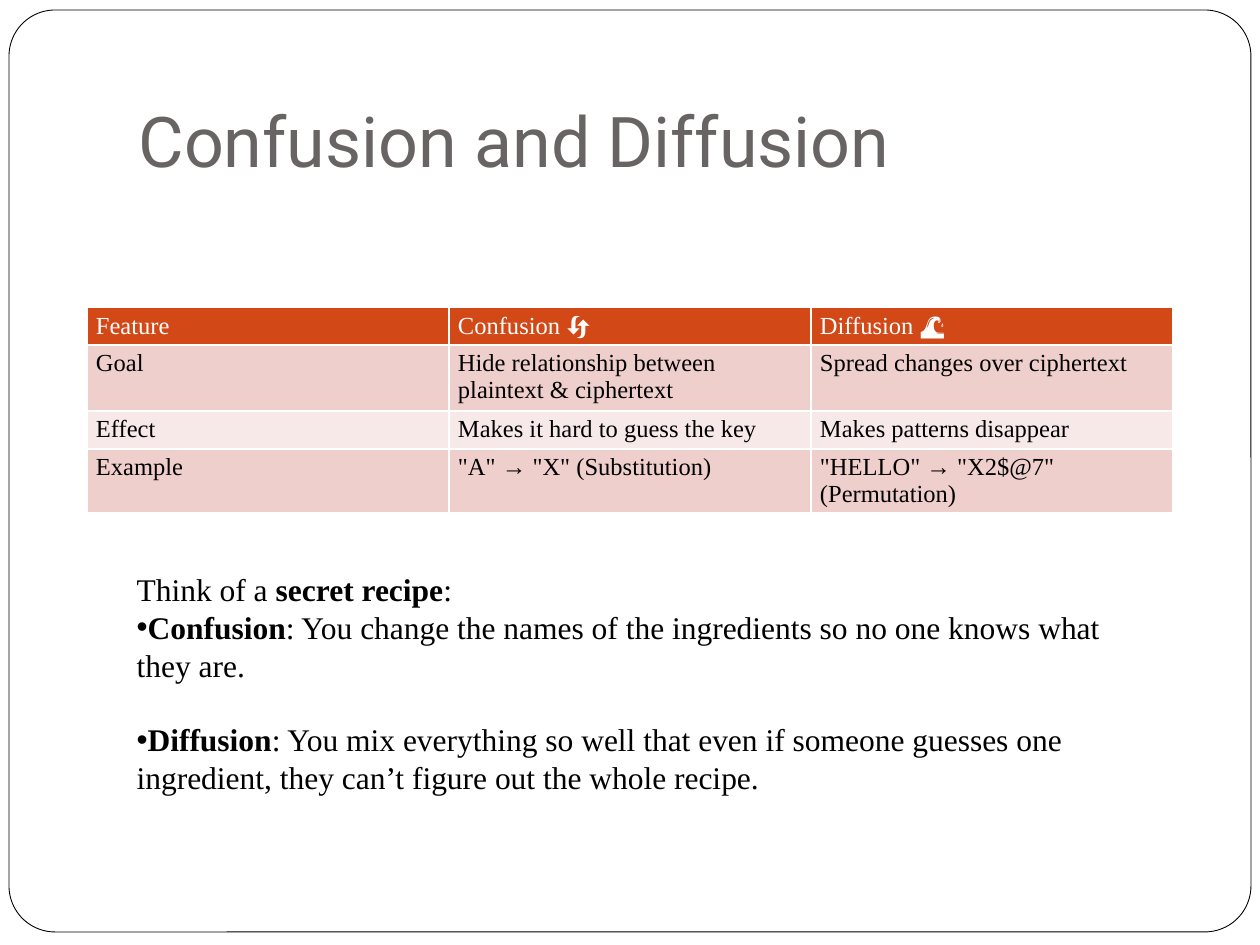
import pptx
import pptx.util
import pptx.dml.color
import pptx.enum.shapes
import pptx.enum.text
from lxml import etree

PX = 914400 // 126
SIZE = 1260, 945
SERIF, SANS = "Times New Roman", "Roboto"
HUES = {"ink": "000000", "paper": "FFFFFF", "title": "696464",
        "head": "D34817", "odd": "EFCFCC", "even": "F7E9E8"}

TITLE = "Confusion and Diffusion"
ROWS = [
    ("Feature", "Confusion 🔄", "Diffusion 🌊"),
    ("Goal", "Hide relationship between plaintext & ciphertext",
     "Spread changes over ciphertext"),
    ("Effect", "Makes it hard to guess the key", "Makes patterns disappear"),
    ("Example", '"A" → "X" (Substitution)', '"HELLO" → "X2$@7" (Permutation)'),
]
HEIGHTS = 38, 66, 38, 64
WIDTH = 362
# Each paragraph: bullet, space before in points, runs of (text, bold)
NOTES = [
    (None, 0, [("Think of a ", False), ("secret recipe", True), (":", False)]),
    ("•", 0, [("Confusion", True),
              (": You change the names of the ingredients so no one knows "
               "what they are.", False)]),
    ("•", 21, [("Diffusion", True),
               (": You mix everything so well that even if someone guesses "
                "one ingredient, they can’t figure out the whole recipe.",
                False)]),
]


def hue(name):
    return pptx.dml.color.RGBColor.from_string(HUES[name])


def put(shape, left, top, width, height):
    shape.left, shape.top = left * PX, top * PX
    shape.width, shape.height = width * PX, height * PX


def add_run(para, text, size, color, face=SERIF, bold=False):
    run = para.add_run()
    run.text = text
    font = run.font
    font.size, font.name, font.bold = pptx.util.Pt(size), face, bold
    font.color.rgb = hue(color)


def add_tag(parent, name, **attrs):
    return etree.SubElement(parent, pptx.oxml.ns.qn(name), attrs)


def add_frame(slide):
    """Draw the rounded page border behind everything else."""
    frame = slide.shapes.add_shape(
        pptx.enum.shapes.MSO_SHAPE.ROUNDED_RECTANGLE,
        9 * PX, 10 * PX, 1242 * PX, 922 * PX)
    frame.adjustments[0] = 0.05
    frame.shadow.inherit = False
    frame.fill.solid()
    frame.fill.fore_color.rgb = hue("paper")
    frame.line.color.rgb = hue("ink")
    frame.line.width = pptx.util.Pt(0.5)
    frame.element.getparent().insert(2, frame.element)


def add_title(slide):
    title = slide.shapes.title
    put(title, 126, 38, 1071, 157)
    box = title.text_frame
    box.vertical_anchor = pptx.enum.text.MSO_ANCHOR.BOTTOM
    box.margin_bottom = 13 * PX
    para = box.paragraphs[0]
    para.alignment = pptx.enum.text.PP_ALIGN.LEFT
    add_run(para, TITLE, 40, "title", SANS)


def add_cell(cell, text, row, middle):
    cell.margin_left = cell.margin_right = 9 * PX
    cell.margin_top = cell.margin_bottom = 5 * PX
    anchor = pptx.enum.text.MSO_ANCHOR
    cell.vertical_anchor = anchor.MIDDLE if middle else anchor.TOP
    props = cell._tc.get_or_add_tcPr()
    for side in "LRTB":
        line = add_tag(props, "a:ln" + side, w=str(pptx.util.Pt(1)))
        fill = add_tag(line, "a:solidFill")
        add_tag(fill, "a:srgbClr", val=HUES["paper"])
    cell.fill.solid()
    cell.fill.fore_color.rgb = hue(
        "head" if row == 0 else "odd" if row % 2 else "even")
    add_run(cell.text_frame.paragraphs[0], text, 14,
            "ink" if row else "paper")


def add_grid(slide):
    cols = len(ROWS[0])
    grid = slide.shapes.add_table(
        len(ROWS), cols, 87 * PX, 307 * PX,
        cols * WIDTH * PX, sum(HEIGHTS) * PX).table
    for col in grid.columns:
        col.width = WIDTH * PX
    for r, (texts, height) in enumerate(zip(ROWS, HEIGHTS)):
        grid.rows[r].height = height * PX
        for c, text in enumerate(texts):
            last = (r, c) == (len(ROWS) - 1, cols - 1)
            add_cell(grid.cell(r, c), text, r, r == 0 or last)


def add_notes(slide):
    body = slide.placeholders[1]
    put(body, 124, 564, 1050, 242)
    box = body.text_frame
    box.auto_size = pptx.enum.text.MSO_AUTO_SIZE.NONE
    for i, (mark, gap, runs) in enumerate(NOTES):
        para = box.add_paragraph() if i else box.paragraphs[0]
        para.space_before = pptx.util.Pt(gap)
        props = para._p.get_or_add_pPr()
        props.set("marL", "0")
        props.set("indent", "0")
        if mark:
            add_tag(props, "a:buChar", char=mark)
        else:
            add_tag(props, "a:buNone")
        for text, bold in runs:
            add_run(para, text, 18, "ink", bold=bold)


def main():
    deck = pptx.Presentation()
    deck.slide_width, deck.slide_height = (n * PX for n in SIZE)
    slide = deck.slides.add_slide(deck.slide_layouts[1])
    add_frame(slide)
    add_title(slide)
    add_grid(slide)
    add_notes(slide)
    deck.save("out.pptx")


if __name__ == "__main__":
    main()
